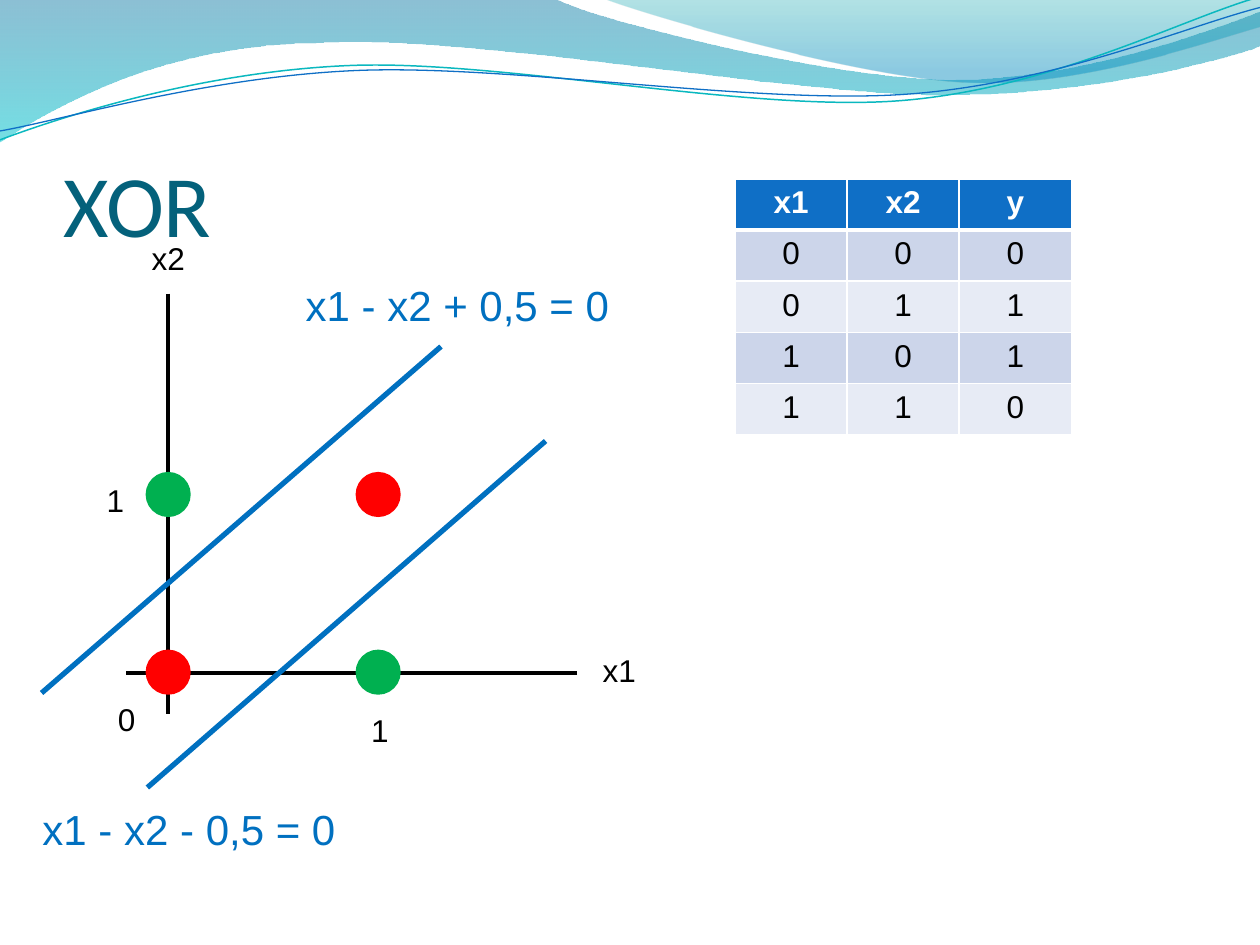
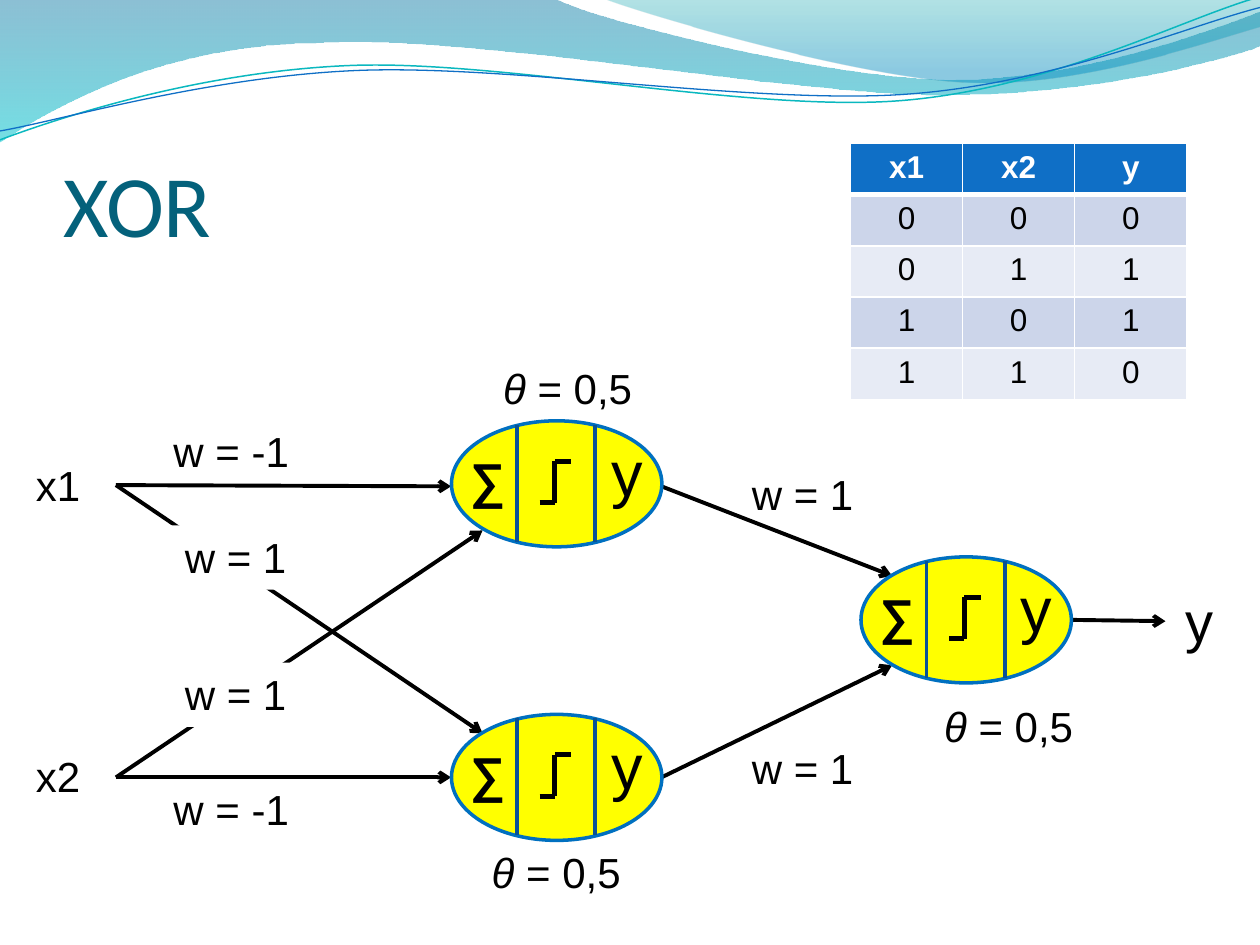
"""Two slides on XOR: its separating lines and the network that computes it."""
import math
from dataclasses import dataclass

from lxml import etree
from pptx import Presentation
from pptx import util as u
from pptx.dml import color
from pptx.enum import shapes, text
from pptx.oxml import ns


@dataclass(frozen=True)
class Theme:
    black: str = "000000"
    white: str = "FFFFFF"
    title: str = "04617B"
    accent: str = "0F6FC6"
    teal: str = "0AB8BF"
    blue: str = "0070C0"
    divider: str = "095295"
    red: str = "FF0000"
    green: str = "00B050"
    yellow: str = "FFFF00"
    bands: tuple = ("E7EBF5", "CCD5EA")
    head_font: str = "Calibri"
    body_font: str = "Arial"
    title_size: int = 50
    activation_size: int = 36
    output_size: int = 32
    sum_size: int = 28
    label_size: int = 24
    small_size: int = 18


T = Theme()
RGB = color.RGBColor.from_string
CENTER, LEFT = text.PP_ALIGN.CENTER, text.PP_ALIGN.LEFT


def write(tf, runs, size, rgb=T.black, bold=False, align=CENTER, font=T.body_font):
    tf.word_wrap = True
    p = tf.paragraphs[0]
    p.alignment = align
    for run in runs:
        r = p.add_run()
        r.text = run
        r.font.name, r.font.size = font, u.Pt(size)
        r.font.bold, r.font.italic = bold, run == "θ"
        r.font.color.rgb = RGB(rgb)


def add_line(parent, start, end, rgb=T.black, width=2.25, arrow=False):
    cx = parent.add_connector(shapes.MSO_CONNECTOR.STRAIGHT, *map(u.Inches, start + end))
    cx.line.color.rgb, cx.line.width = RGB(rgb), u.Pt(width)
    if arrow:
        etree.SubElement(cx.line._get_or_add_ln(), ns.qn("a:tailEnd"), type="arrow")
    etree.SubElement(cx._element.spPr, ns.qn("a:effectLst"))


waves = [
    ([[(0, -0.01)], [(4.4, -0.01)], [(4.76, 0.17), (6.64, 0.63), (7.58, 0.63)],
      [(8.53, 0.63), (9.58, 0.26), (10, 0.09)], [(10.01, 0.36)],
      [(9.83, 0.44), (8.7, 0.76), (7.46, 0.75)], [(6.22, 0.75), (3.82, 0.28), (2.57, 0.34)],
      [(1.29, 0.35), (0.46, 0.83), (-0.01, 1.13)], [(0, -0.01)]],
     [(0, "0074A1", 45), (1, "00C6CF", 55)], None),
    ([[(4.79, -0.01)], [(5.09, 0.11), (6.82, 0.62), (7.69, 0.65)],
      [(8.56, 0.69), (9.61, 0.32), (10, 0.21)], [(10, 0)], [(4.79, -0.01)]],
     [(0, "00A1A9", 30), (0.8, "008BBF", 45)], None),
    ([[(0, 1.11)], [(0.48, 0.93), (1.58, 0.57), (2.77, 0.52)],
      [(3.95, 0.47), (5.93, 0.89), (7.13, 0.8)], [(8.33, 0.71), (9.38, 0.15), (9.98, -0.02)]],
     None, (T.teal, 0.85, 4.99, 0.58)),
    ([[(0, 1.04)], [(0.47, 0.96), (1.64, 0.61), (2.83, 0.56)],
      [(4.03, 0.51), (5.97, 0.83), (7.17, 0.75)], [(8.36, 0.67), (9.41, 0.21), (10, 0.06)]],
     None, (T.accent, 0.75, 5, 0.59)),
]
tilt = 2.7
cos, sin = math.cos(math.radians(tilt)), math.sin(math.radians(tilt))
inputs = [(0, 0), (0, 1), (1, 0), (1, 1)]
truth_table = [("x1", "x2", "y")] + [(a, b, a ^ b) for a, b in inputs]

prs = Presentation()
prs.slide_width, prs.slide_height = u.Inches(10), u.Inches(7.5)
plane, network = [prs.slides.add_slide(prs.slide_layouts[6]) for _ in range(2)]

master_tree = prs.slide_master.shapes._spTree
for i, (segments, stops, stroke) in enumerate(waves):
    points = [point for seg in segments for point in seg]
    if stroke:
        cx, cy = stroke[2:]
        points = [(cx + (x - cx) * cos - (y - cy) * sin,
                   cy + (x - cx) * sin + (y - cy) * cos) for x, y in points]
    emu = [(u.Inches(x), u.Inches(y)) for x, y in points]
    builder = plane.shapes.build_freeform(*emu[0])
    builder.add_line_segments(emu[1:], close=bool(stops))
    sp = builder.convert_to_shape()
    sp.shadow.inherit = False
    lines = iter(list(sp._element.spPr.iter(ns.qn("a:lnTo"))))
    for seg in segments[1:]:
        first = next(lines)
        if len(seg) == 3:
            first.tag = ns.qn("a:cubicBezTo")
            for _ in range(2):
                control = next(lines)
                first.append(control[0])
                control.getparent().remove(control)
    if stops:
        sp.line.fill.background()
        sp.fill.gradient()
        sp.fill.gradient_angle = 270
        for stop, (position, rgb, _) in zip(sp.fill.gradient_stops, stops):
            stop.position, stop.color.rgb = position, RGB(rgb)
        for clr, (_, _, alpha) in zip(sp._element.spPr.iter(ns.qn("a:srgbClr")), stops):
            etree.SubElement(clr, ns.qn("a:alpha"), val=str(alpha * 1000))
    else:
        sp.rotation = 360 - tilt
        sp.fill.background()
        sp.line.color.rgb, sp.line.width = RGB(stroke[0]), u.Pt(stroke[1])
    sp._element.nvSpPr.cNvPr.set("id", str(20 + i))
    master_tree.insert(2 + i, sp._element)

for s, table_left, table_top in [(plane, 35 / 6, 1.42), (network, 6.75, 1.14)]:
    tf = s.shapes.add_textbox(*map(u.Inches, (0.5, 0.77, 9.08, 1.25))).text_frame
    tf.margin_left = tf.margin_right = tf.margin_bottom = 0
    tf.vertical_anchor = text.MSO_ANCHOR.BOTTOM
    write(tf, ["XOR"], T.title_size, T.title, align=LEFT, font=T.head_font)

    tbl = s.shapes.add_table(5, 3, *map(u.Inches, (table_left, table_top, 2.67, 2.03))).table
    for i, row in enumerate(truth_table):
        for j, value in enumerate(row):
            cell = tbl.cell(i, j)
            cell.fill.solid()
            cell.fill.fore_color.rgb = RGB(T.bands[i % 2] if i else T.accent)
            write(cell.text_frame, [str(value)], T.small_size,
                  T.black if i else T.white, bold=i == 0)
            for k, side in enumerate("LRTB"):
                thick = (side, i) in (("B", 0), ("T", 1))
                ln = etree.Element(ns.qn("a:ln" + side), w=str(u.Pt(3 if thick else 1)))
                fill = etree.SubElement(ln, ns.qn("a:solidFill"))
                etree.SubElement(fill, ns.qn("a:srgbClr"), val=T.white)
                cell._tc.get_or_add_tcPr().insert(k, ln)

axes = plane.shapes.add_group_shape().shapes
add_line(axes, (1.33, 2.33), (1.33, 5.67))
add_line(axes, (4.58, 5.34), (1, 5.34))
for x1, x2 in inputs:
    sp = axes.add_shape(shapes.MSO_SHAPE.OVAL, u.Inches(1.17 + 5 / 3 * x1),
                        u.Inches(5.17 - 1.41 * x2), u.Inches(0.33), u.Inches(0.33))
    sp.shadow.inherit = False
    sp.fill.solid()
    sp.fill.fore_color.rgb = sp.line.color.rgb = RGB(T.green if x1 ^ x2 else T.red)
    sp.line.width = u.Pt(2)
for label, left, top in [("0", 0.67, 5.51), ("1", 2.68, 5.59), ("1", 0.58, 3.77),
                         ("x1", 4.58, 5.12), ("x2", 1, 1.85)]:
    tb = axes.add_textbox(*map(u.Inches, (left, top, 0.67, 0.4)))
    write(tb.text_frame, [label], T.small_size)

for start, end, equation, left, top, width in [
        ((1.17, 6.25), (4.33, 3.5), "x1 - x2 - 0,5 = 0", 0, 6.33, 3),
        ((0.33, 5.5), (3.5, 2.75), "x1 - x2 + 0,5 = 0", 2.17, 2.17, 2.92)]:
    add_line(plane.shapes, start, end, T.blue, 3)
    tb = plane.shapes.add_textbox(*map(u.Inches, (left, top, width, 0.51)))
    write(tb.text_frame, [equation], T.label_size, T.blue)

for start, end in [((0.92, 3.85), (3.58, 3.86)), ((0.92, 6.17), (3.83, 4.21)),
                   ((0.92, 6.17), (3.58, 6.17)), ((0.92, 3.85), (3.83, 5.82)),
                   ((5.25, 3.86), (7.08, 4.57)), ((5.25, 6.17), (7.08, 5.28)),
                   ((8.5, 4.92), (9.25, 4.93))]:
    add_line(network.shapes, start, end, arrow=True)

theta = ["θ", " = 0,5"]
for runs, left, top, width in [
        (["x1"], 0, 3.6, 0.92), (["x2"], 0, 5.91, 0.92),
        (["w = -1"], 1.17, 3.33, 1.33), (["w = -1"], 1.17, 6.17, 1.33),
        (["w = 1"], 5.83, 3.67, 1.08), (["w = 1"], 5.83, 5.84, 1.08),
        (theta, 3.67, 2.83, 1.67), (theta, 3.58, 6.67, 1.67), (theta, 7.17, 5.51, 1.67)]:
    tb = network.shapes.add_textbox(*map(u.Inches, (left, top, width, 0.51)))
    write(tb.text_frame, runs, T.label_size)
for top in (4.17, 5.26):
    sp = network.shapes.add_shape(shapes.MSO_SHAPE.RECTANGLE,
                                  *map(u.Inches, (1.33, top, 1.08, 0.51)))
    sp.shadow.inherit = False
    sp.fill.solid()
    sp.fill.fore_color.rgb = RGB(T.white)
    sp.line.fill.background()
    sp.text_frame.vertical_anchor = text.MSO_ANCHOR.TOP
    write(sp.text_frame, ["w = 1"], T.label_size)
tb = network.shapes.add_textbox(*map(u.Inches, (9.25, 4.61, 0.67, 0.64)))
write(tb.text_frame, ["y "], T.output_size)

for x, y in [(43 / 12, 3.34), (43 / 12, 5.67), (41 / 6, 4.42)]:
    neuron = network.shapes.add_group_shape().shapes
    sp = neuron.add_shape(shapes.MSO_SHAPE.OVAL, *map(u.Inches, (x, y, 1.67, 1)))
    sp.shadow.inherit = False
    sp.fill.solid()
    sp.fill.fore_color.rgb = RGB(T.yellow)
    sp.line.color.rgb, sp.line.width = RGB(T.blue), u.Pt(2)
    for dx in (0.52, 1.14):
        add_line(neuron, (x + dx, y + 0.03), (x + dx, y + 0.96), T.divider)
    for x_from, y_from, x_to, y_to in [(0.82, 0.32, 0.95, 0.32), (0.7, 0.65, 0.82, 0.65),
                                       (0.82, 0.32, 0.82, 0.65)]:
        add_line(neuron, (x + x_from, y + y_from), (x + x_to, y + y_to), width=3)
    for symbol, dx, dy, height, size in [("∑", 0.05, 0.18, 0.57, T.sum_size),
                                         ("y", 1.17, 0.05, 0.71, T.activation_size)]:
        tb = neuron.add_textbox(*map(u.Inches, (x + dx, y + dy, 0.23, height)))
        write(tb.text_frame, [symbol], size, bold=symbol == "∑", align=LEFT)

prs.save("out.pptx")
